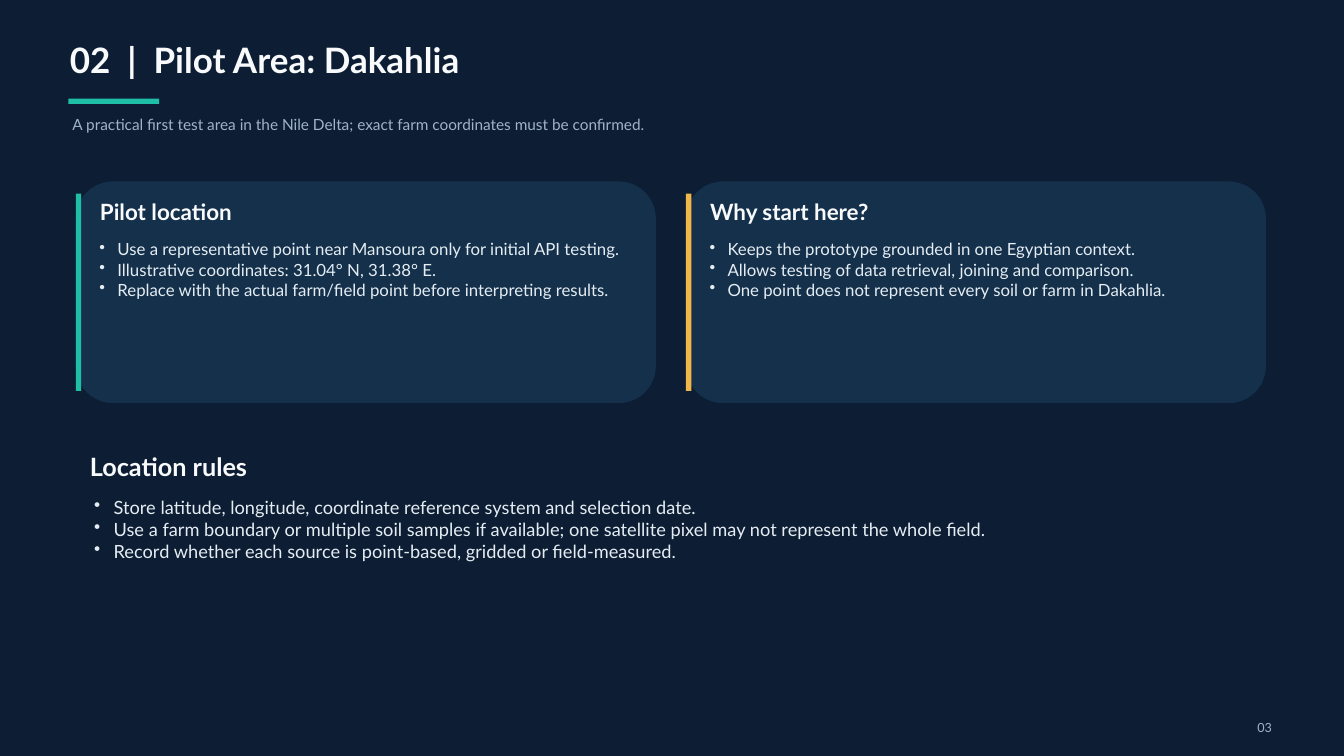
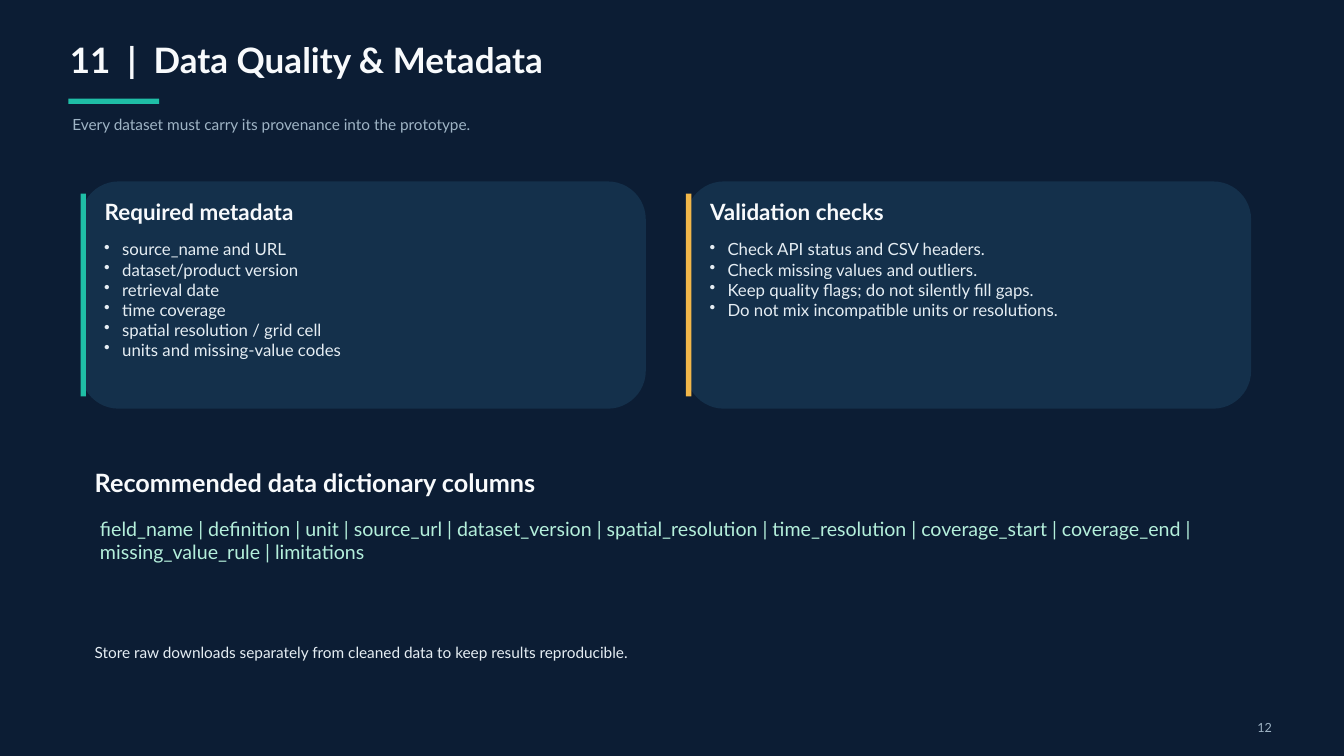
"""Build two slides on the pilot area and on data quality, in one dark card style."""
import lxml.etree
import pptx
import pptx.dml.color
import pptx.enum.shapes
import pptx.enum.text
import pptx.oxml.ns
import pptx.util

Cm = pptx.util.Cm
SHAPES = pptx.enum.shapes.MSO_SHAPE

NAVY, CARD = "0C1D34", "14304B"
TEAL, AMBER, MINT = "1FBEA6", "F2B74A", "B4EFDB"
WHITE, PALE, MUTED = "F8FAFC", "E5EDF3", "9FB4C5"

STYLES = {
    "title": dict(size=37.5, color=WHITE, bold=True),
    "subtitle": dict(size=16.5, color=MUTED),
    "page": dict(size=13.5, color=MUTED, align=pptx.enum.text.PP_ALIGN.RIGHT),
    "card title": dict(size=24, color=WHITE, bold=True),
    "card points": dict(size=18, color=PALE, bulleted=True),
    "heading": dict(size=27, color=WHITE, bold=True),
    "points": dict(size=19.5, color=PALE, bulleted=True),
    "columns": dict(size=21, color=MINT),
    "note": dict(size=16.5, color=PALE),
}

CARD_TOP = 6.86
CARD_ACCENTS = (TEAL, AMBER)
BULLET_EM = 1.07

SLIDES = [
    {
        "number": "02",
        "title": "Pilot Area: Dakahlia",
        "subtitle": "A practical first test area in the Nile Delta; exact farm coordinates must be confirmed.",
        "page": "03",
        "card_lefts": (2.87, 25.93),
        "card_size": (21.92, 8.38),
        "cards": [
            ("Pilot location", [
                "Use a representative point near Mansoura only for initial API testing.",
                "Illustrative coordinates: 31.04° N, 31.38° E.",
                "Replace with the actual farm/field point before interpreting results.",
            ]),
            ("Why start here?", [
                "Keeps the prototype grounded in one Egyptian context.",
                "Allows testing of data retrieval, joining and comparison.",
                "One point does not represent every soil or farm in Dakahlia.",
            ]),
        ],
        "lower": [
            ("heading", (3.4, 17.07, 44.3, 1.35), ["Location rules"]),
            ("points", (3.56, 18.77, 44.37, 2.46), [
                "Store latitude, longitude, coordinate reference system and selection date.",
                "Use a farm boundary or multiple soil samples if available; "
                "one satellite pixel may not represent the whole field.",
                "Record whether each source is point-based, gridded or field-measured.",
            ]),
        ],
    },
    {
        "number": "11",
        "title": "Data Quality & Metadata",
        "subtitle": "Every dataset must carry its provenance into the prototype.",
        "page": "12",
        "card_lefts": (3.05, 25.93),
        "card_size": (21.36, 8.59),
        "cards": [
            ("Required metadata", [
                "source_name and URL",
                "dataset/product version",
                "retrieval date",
                "time coverage",
                "spatial resolution / grid cell",
                "units and missing-value codes",
            ]),
            ("Validation checks", [
                "Check API status and CSV headers.",
                "Check missing values and outliers.",
                "Keep quality flags; do not silently fill gaps.",
                "Do not mix incompatible units or resolutions.",
            ]),
        ],
        "lower": [
            ("heading", (3.58, 17.65, 43.54, 1.17), ["Recommended data dictionary columns"]),
            ("columns", (3.78, 19.53, 43.15, 3.28), [" | ".join([
                "field_name", "definition", "unit", "source_url", "dataset_version",
                "spatial_resolution", "time_resolution", "coverage_start",
                "coverage_end", "missing_value_rule", "limitations",
            ])]),
            ("note", (3.58, 24.31, 43.54, 0.97), [
                "Store raw downloads separately from cleaned data to keep results reproducible.",
            ]),
        ],
    },
]


def rgb(color):
    return pptx.dml.color.RGBColor.from_string(color)


def add_block(slide, preset, box, color):
    block = slide.shapes.add_shape(preset, *map(Cm, box))
    block.shadow.inherit = False
    block.fill.solid()
    block.fill.fore_color.rgb = rgb(color)
    block.line.fill.background()


def add_bullet(paragraph, size):
    properties = paragraph._p.get_or_add_pPr()
    indent = pptx.util.Pt(size * BULLET_EM)
    properties.set("marL", str(indent))
    properties.set("indent", str(-indent))
    bullet = lxml.etree.SubElement(properties, pptx.oxml.ns.qn("a:buChar"))
    bullet.set("char", "•")


def add_text(slide, style, box, lines):
    look = STYLES[style]
    frame = slide.shapes.add_textbox(*map(Cm, box)).text_frame
    frame.word_wrap = True
    frame.margin_left = frame.margin_top = frame.margin_right = frame.margin_bottom = 0
    frame.text = "\n".join(lines)
    for paragraph in frame.paragraphs:
        if look.get("bulleted"):
            add_bullet(paragraph, look["size"])
        paragraph.alignment = look.get("align")
        paragraph.line_spacing = pptx.util.Pt(look["size"] * 1.2)
        paragraph.font.name = "Lato"
        paragraph.font.size = pptx.util.Pt(look["size"])
        paragraph.font.bold = look.get("bold", False)
        paragraph.font.color.rgb = rgb(look["color"])


def add_frame(slide, content):
    slide.background.fill.solid()
    slide.background.fill.fore_color.rgb = rgb(NAVY)
    heading = f"{content['number']}  |  {content['title']}"
    add_text(slide, "title", (2.64, 1.45, 45.44, 1.73), [heading])
    add_block(slide, SHAPES.RECTANGLE, (2.59, 3.73, 3.43, 0.2), TEAL)
    add_text(slide, "subtitle", (2.74, 4.37, 45.44, 1.17), [content["subtitle"]])
    add_text(slide, "page", (46.28, 27.23, 1.8, 0.61), [content["page"]])


def add_card(slide, left, size, accent, title, points):
    width, height = size
    add_block(slide, SHAPES.ROUNDED_RECTANGLE, (left, CARD_TOP, width, height), CARD)
    add_block(slide, SHAPES.RECTANGLE, (left, CARD_TOP + 0.46, 0.2, height - 0.92), accent)
    add_text(slide, "card title", (left + 0.91, CARD_TOP + 0.64, width - 1.63, 1.17), [title])
    add_text(slide, "card points",
             (left + 0.89, CARD_TOP + 2.18, width - 1.68, height - 2.49), points)


def main():
    deck = pptx.Presentation()
    deck.slide_width, deck.slide_height = Cm(50.8), Cm(28.58)
    for content in SLIDES:
        slide = deck.slides.add_slide(deck.slide_layouts[6])
        add_frame(slide, content)
        for left, accent, (title, points) in zip(
                content["card_lefts"], CARD_ACCENTS, content["cards"]):
            add_card(slide, left, content["card_size"], accent, title, points)
        for style, box, lines in content["lower"]:
            add_text(slide, style, box, lines)
    deck.save("out.pptx")


if __name__ == "__main__":
    main()
